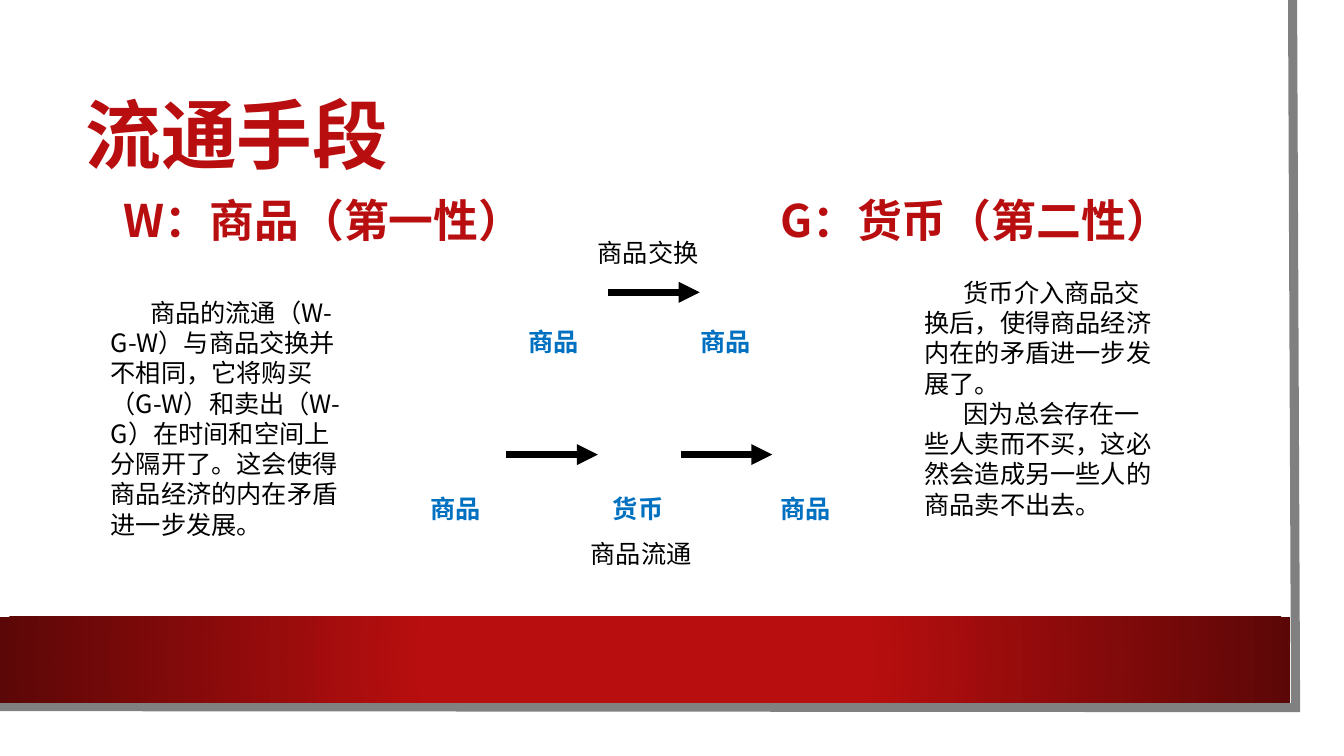
from lxml import etree
from pptx import Presentation
from pptx.dml.color import RGBColor
from pptx.enum.shapes import MSO_CONNECTOR, MSO_SHAPE
from pptx.enum.text import MSO_ANCHOR, MSO_AUTO_SIZE, PP_ALIGN
from pptx.oxml import parse_xml
from pptx.oxml.ns import qn
from pptx.util import Pt

PX = 9144  # 100 px to the inch
FONT = "Noto Sans CJK SC"
RED, BLUE, BLACK, GRAY = "B80E0F", "0070C0", "000000", "808080"
STRAIGHT = MSO_CONNECTOR.STRAIGHT
RECTANGLE = MSO_SHAPE.RECTANGLE
MIDDLE = MSO_ANCHOR.MIDDLE
LEFT = PP_ALIGN.LEFT
NO_AUTOFIT = MSO_AUTO_SIZE.NONE


def color(value):
    return RGBColor.from_string(value)


def write(shape, text, size, ink, bold=False, wrap=False, indent=0):
    frame = shape.text_frame
    frame.text = text
    frame.word_wrap = wrap
    frame.auto_size = NO_AUTOFIT
    for para in frame.paragraphs:
        para.alignment = LEFT
        if indent:
            para._p.get_or_add_pPr().set("indent", str(indent * PX))
        for span in para.runs:
            span.font.size = Pt(size)
            span.font.bold = bold
            span.font.name = FONT
            span.font.color.rgb = color(ink)
            etree.SubElement(span._r.get_or_add_rPr(), qn("a:ea"), typeface=FONT)


deck = Presentation()
deck.slide_width, deck.slide_height = 1333 * PX, 750 * PX
page = deck.slides.add_slide(deck.slide_layouts[5])
shapes = page.shapes

# Gray edge along the right and bottom of the sheet
builder = shapes.build_freeform(1282, 0, scale=PX)
builder.add_line_segments([(1285, 702), (0, 701)], close=False)
edge = builder.convert_to_shape()
edge.shadow.inherit = False
edge.fill.background()
edge.line.color.rgb = color(GRAY)
edge.line.width = Pt(6.5)
etree.SubElement(edge.line._get_or_add_ln(), qn("a:miter"), lim="800000")

# Red band with a radial gradient
band = shapes.add_shape(RECTANGLE, 0, 612 * PX, 1280 * PX, 85 * PX)
band.shadow.inherit = False
band.line.fill.background()
band.fill.solid()
solid = band._element.spPr.find(qn("a:solidFill"))
solid.getparent().replace(solid, parse_xml(
    '<a:gradFill xmlns:a="http://schemas.openxmlformats.org/drawingml/2006/main">'
    '<a:gsLst><a:gs pos="34000"><a:srgbClr val="B80E0F"/></a:gs>'
    '<a:gs pos="100000"><a:srgbClr val="5C0707"/></a:gs></a:gsLst>'
    '<a:path path="circle"><a:fillToRect l="50000" t="50000" r="50000" b="50000"/>'
    '</a:path></a:gradFill>'))

# Title
title = shapes.title
title.left, title.top, title.width, title.height = 75 * PX, 75 * PX, 1137 * PX, 126 * PX
write(title, "流通手段", 54, RED, bold=True, wrap=True)
title.text_frame.vertical_anchor = MIDDLE
title.text_frame.paragraphs[0].line_spacing = 0.9

# Column headings
for left, heading in ((113, "W：商品（第一性）"), (764, "G：货币（第二性）")):
    box = shapes.add_textbox(left * PX, 186 * PX, 420 * PX, 64 * PX)
    write(box, heading, 32, RED, bold=True)

# Explanations
explanations = (
    (100, 290, "商品的流通（W-G-W）与商品交换并不相同，它将购买（G-W）和卖出（W-G）"
               "在时间和空间上分隔开了。这会使得商品经济的内在矛盾进一步发展。"),
    (907, 270, "货币介入商品交换后，使得商品经济内在的矛盾进一步发展了。\n"
               "因为总会存在一些人卖而不买，这必然会造成另一些人的商品卖不出去。"),
)
for left, top, text in explanations:
    box = shapes.add_textbox(left * PX, top * PX, 251 * PX, 252 * PX)
    write(box, text, 18, BLACK, wrap=True, indent=39)

# Arrows of exchange and circulation
for left, top in ((603, 290), (502, 451), (675, 451)):
    arrow = shapes.add_connector(STRAIGHT, left * PX, top * PX, (left + 91) * PX, top * PX)
    arrow.line.color.rgb = color(BLACK)
    arrow.line.width = Pt(5)
    etree.SubElement(arrow.line._get_or_add_ln(), qn("a:tailEnd"), type="triangle")
    etree.SubElement(arrow._element.spPr, qn("a:effectLst"))

# Diagram labels
labels = (
    (514, 319, "商品", BLUE), (685, 319, "商品", BLUE),
    (417, 484, "商品", BLUE), (598, 484, "货币", BLUE), (764, 484, "商品", BLUE),
    (583, 231, "商品交换", BLACK), (576, 529, "商品流通", BLACK),
)
for left, top, text, ink in labels:
    width = 21 + 25 * len(text)
    box = shapes.add_textbox(left * PX, top * PX, width * PX, 40 * PX)
    write(box, text, 18, ink, bold=ink == BLUE)

deck.save("out.pptx")
